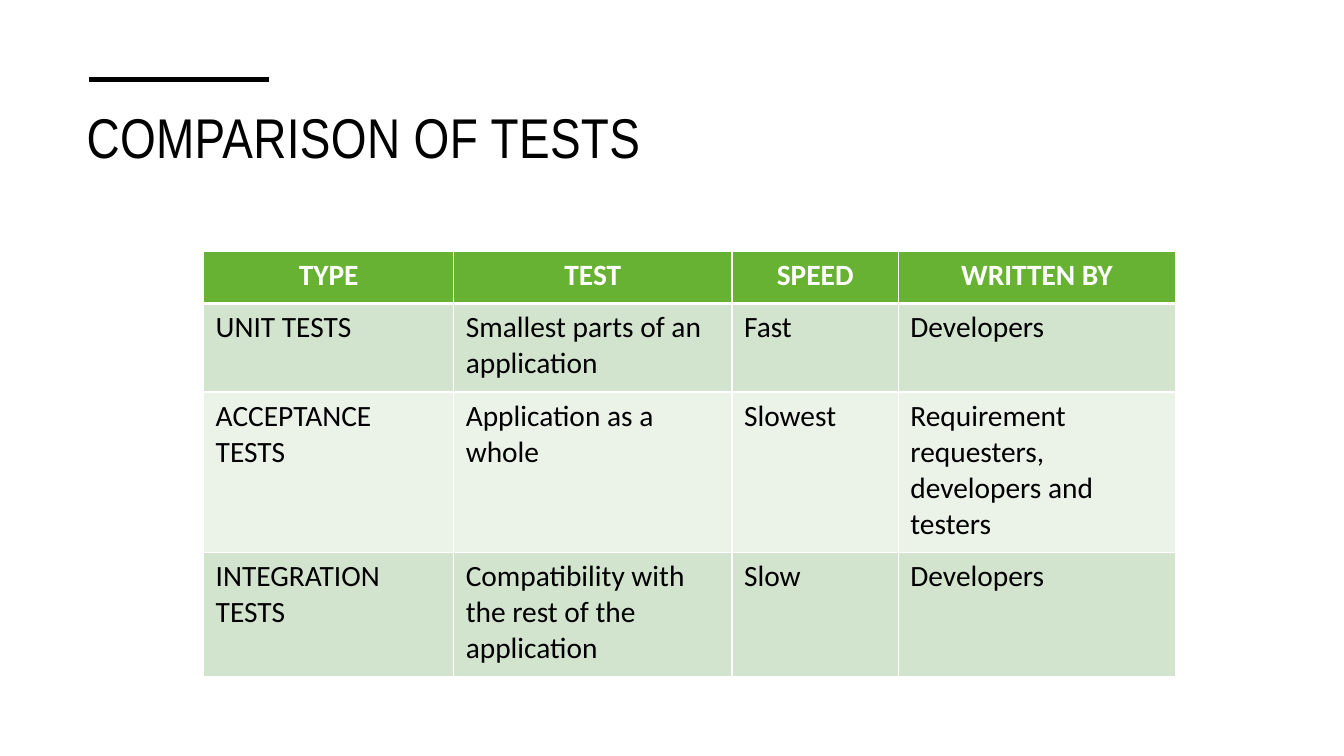
from dataclasses import dataclass

from lxml import etree
from pptx import Presentation
from pptx import util as u
from pptx.dml.color import RGBColor
from pptx.enum import shapes, text
from pptx.oxml import ns


@dataclass(frozen=True)
class Theme:
    ink: str = "000000"
    paper: str = "FFFFFF"
    header: str = "67B232"
    bands: tuple = ("D3E4CE", "EBF2E8")
    title_font: str = "Arial Narrow"
    table_font: str = "Calibri"
    title_size: int = 40
    table_size: int = 21
    rule_width: float = 3.5
    border_width: int = 1
    header_border_width: int = 3


THEME = Theme()

COLUMN_WIDTHS = (2.48, 2.76, 1.65, 2.75)
ROW_HEIGHTS = (0.52, 0.88, 1.59, 1.23)
TEST_ROWS = (
    ("TYPE", "TEST", "SPEED", "WRITTEN BY"),
    ("UNIT TESTS", "Smallest parts of an application", "Fast", "Developers"),
    ("ACCEPTANCE TESTS", "Application as a whole", "Slowest",
     "Requirement requesters, developers and testers"),
    ("INTEGRATION TESTS", "Compatibility with the rest of the application",
     "Slow", "Developers"),
)


def style_font(font, name, size, color, bold=False):
    font.name = name
    font.size = u.Pt(size)
    font.bold = bold
    font.color.rgb = RGBColor.from_string(color)


def add_title(slide, left, top, width, height):
    """Place the heading in its box, with the short rule above it."""
    rule_left, rule_top = left + 0.12, top - 0.18
    rule = slide.shapes.add_connector(
        shapes.MSO_CONNECTOR.STRAIGHT,
        u.Inches(rule_left), u.Inches(rule_top),
        u.Inches(rule_left + 1.79), u.Inches(rule_top))
    rule.line.color.rgb = RGBColor.from_string(THEME.ink)
    rule.line.width = u.Pt(THEME.rule_width)
    etree.SubElement(rule.element.spPr, ns.qn("a:effectLst"))

    title = slide.shapes.add_textbox(
        u.Inches(left), u.Inches(top), u.Inches(width), u.Inches(height))
    title.text_frame.word_wrap = True
    title.text_frame.vertical_anchor = text.MSO_ANCHOR.TOP
    paragraph = title.text_frame.paragraphs[0]
    run = paragraph.add_run()
    run.text = "COMPARISON OF TESTS"
    style_font(paragraph.font, THEME.title_font, THEME.title_size, THEME.ink)
    run._r.get_or_add_rPr().set("spc", "30")


def add_borders(cell, top_width, bottom_width):
    properties = cell._tc.get_or_add_tcPr()
    side_width = THEME.border_width
    widths = {"L": side_width, "R": side_width, "T": top_width, "B": bottom_width}
    for side, width in widths.items():
        line = etree.SubElement(properties, ns.qn(f"a:ln{side}"), w=str(u.Pt(width)))
        fill = etree.SubElement(line, ns.qn("a:solidFill"))
        etree.SubElement(fill, ns.qn("a:srgbClr"), val=THEME.paper)


def fill_cell(cell, wording, row_index):
    is_header = row_index == 0
    thin, thick = THEME.border_width, THEME.header_border_width
    add_borders(cell, thick if row_index == 1 else thin, thick if is_header else thin)
    cell.fill.solid()
    cell.fill.fore_color.rgb = RGBColor.from_string(
        THEME.header if is_header else THEME.bands[(row_index - 1) % 2])
    cell.margin_left = cell.margin_right = u.Inches(0.12)
    cell.margin_top = cell.margin_bottom = u.Inches(0.06)
    cell.text = wording
    paragraph = cell.text_frame.paragraphs[0]
    paragraph.alignment = text.PP_ALIGN.CENTER if is_header else text.PP_ALIGN.LEFT
    style_font(paragraph.font, THEME.table_font, THEME.table_size,
               THEME.paper if is_header else THEME.ink, bold=is_header)


def add_comparison_table(slide, left, top):
    table = slide.shapes.add_table(
        len(ROW_HEIGHTS), len(COLUMN_WIDTHS), u.Inches(left), u.Inches(top),
        u.Inches(sum(COLUMN_WIDTHS)), u.Inches(sum(ROW_HEIGHTS))).table
    for column, width in zip(table.columns, COLUMN_WIDTHS):
        column.width = u.Inches(width)
    for row_index, (row, height) in enumerate(zip(table.rows, ROW_HEIGHTS)):
        row.height = u.Inches(height)
        for cell, wording in zip(row.cells, TEST_ROWS[row_index]):
            fill_cell(cell, wording, row_index)


def main():
    presentation = Presentation()
    presentation.slide_width = u.Inches(13.33)
    presentation.slide_height = u.Inches(7.5)
    slide = presentation.slides.add_slide(presentation.slide_layouts[6])
    slide.background.fill.solid()
    slide.background.fill.fore_color.rgb = RGBColor.from_string(THEME.paper)
    add_title(slide, 0.76, 0.97, 11.81, 1.15)
    add_comparison_table(slide, 2.02, 2.49)
    presentation.save("out.pptx")


if __name__ == "__main__":
    main()
